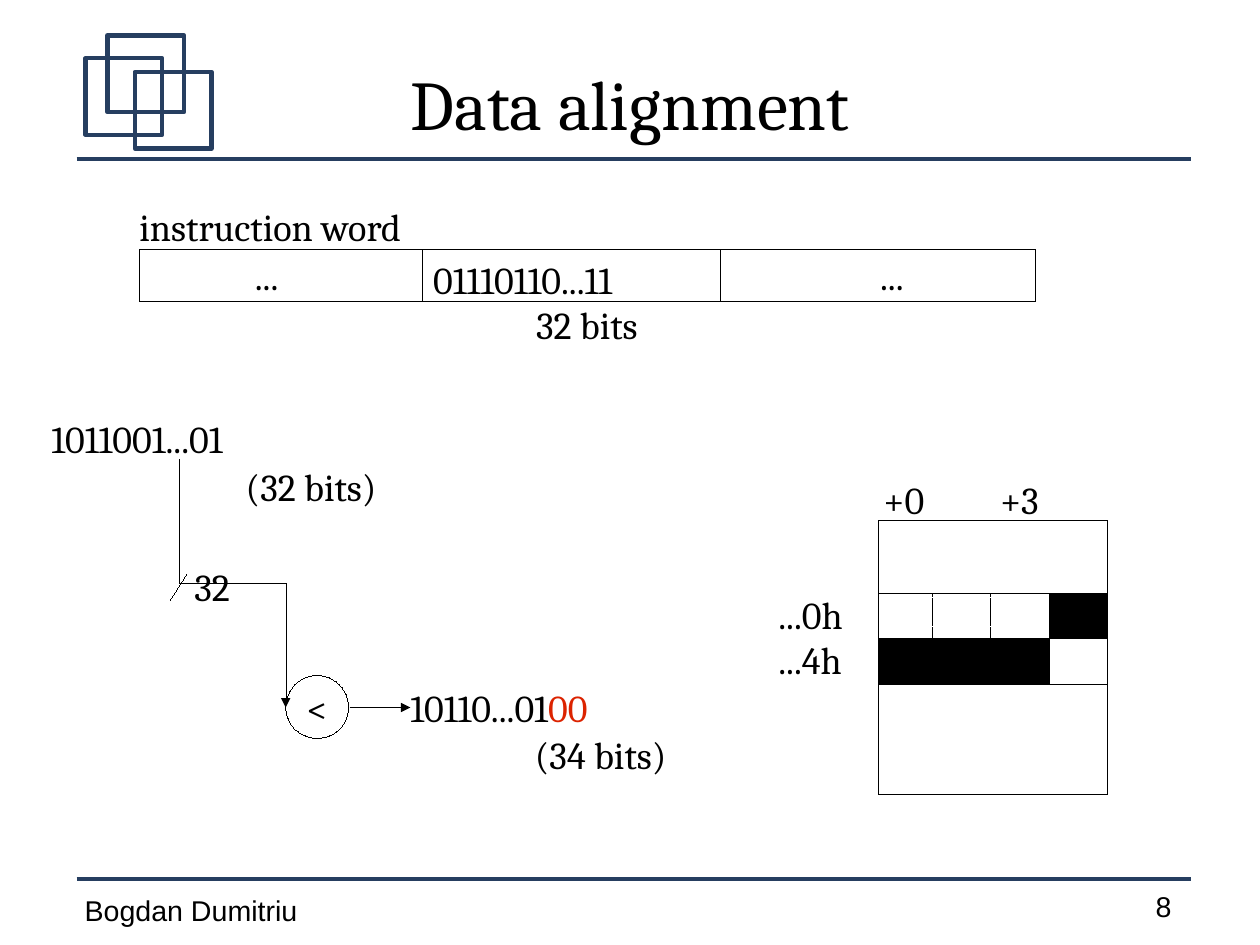
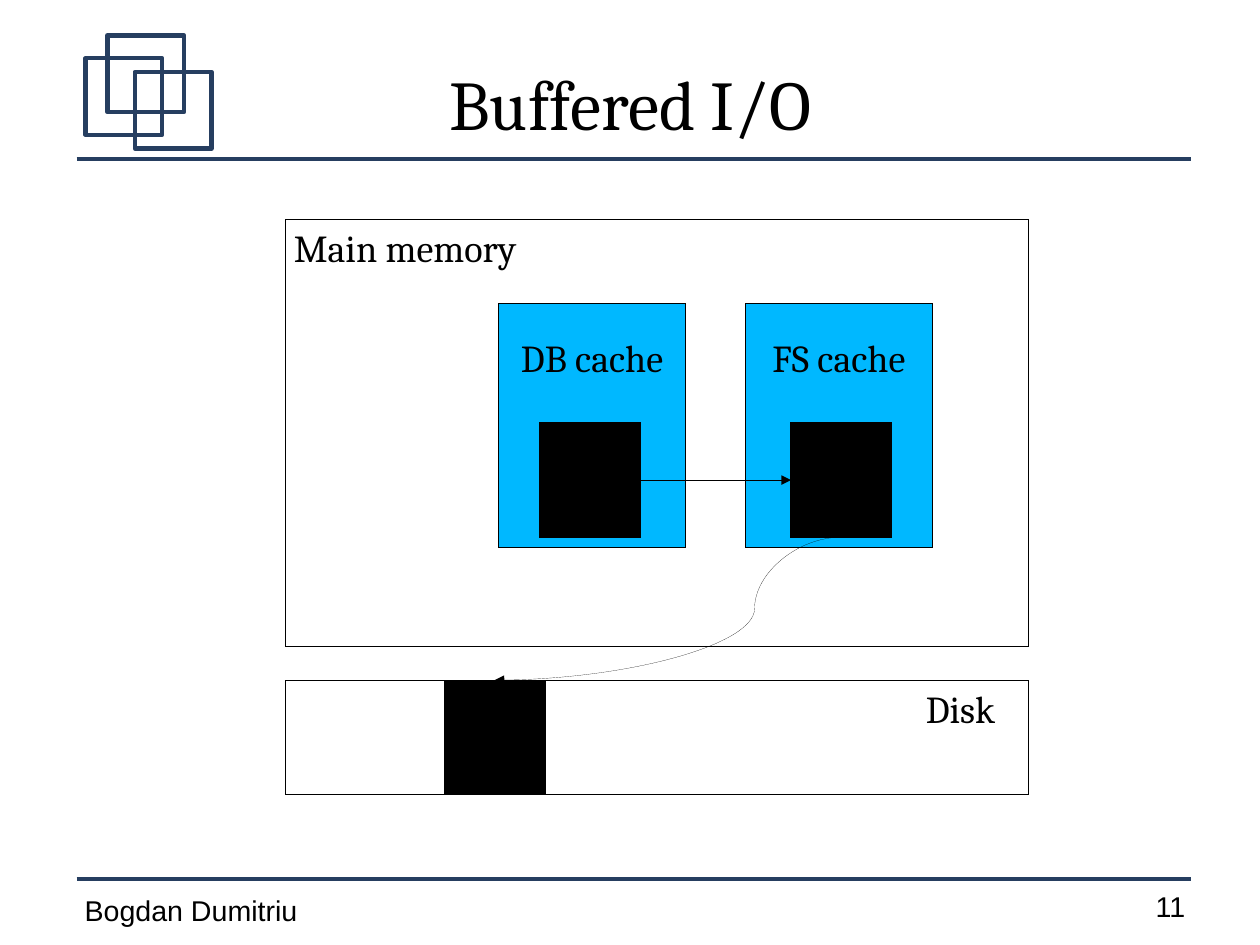
from dataclasses import dataclass
from typing import Optional

from pptx import Presentation
from pptx.dml.color import RGBColor
from pptx.enum.dml import MSO_LINE_DASH_STYLE as DASH
from pptx.enum.shapes import MSO_CONNECTOR_TYPE as CONN, MSO_SHAPE as SHAPE
from pptx.enum.text import MSO_ANCHOR as ANCHOR, PP_ALIGN as ALIGN
from pptx.oxml.ns import qn
from pptx.oxml.xmlchemy import OxmlElement
from pptx.util import Cm, Inches, Pt

GRID = 0.1
HEX = {"ink": "000000", "navy": "263E60", "cache": "00B8FF", "red": "DC2300"}
FONTS = {
    "title": {"name": "Cambria", "size": Pt(44)},
    "body": {"name": "Cambria", "size": Pt(24)},
    "footer": {"name": "Arial", "size": Pt(18)},
}
HAIR, BAND = 0, 2.83


@dataclass(frozen=True)
class Box:
    """A preset shape in grid columns and rows."""
    x: float
    y: float
    w: float
    h: float
    fill: Optional[str] = None
    text: str = ""
    pad: Optional[float] = None
    kind: SHAPE = SHAPE.RECTANGLE
    line: str = "ink"
    width: float = HAIR


@dataclass(frozen=True)
class Label:
    """A text box in grid columns and rows, with an optional red ending."""
    text: str
    x: float
    y: float
    w: float
    h: float = 3.9
    font: str = "body"
    align: ALIGN = ALIGN.LEFT
    anchor: ANCHOR = ANCHOR.TOP
    ending: str = ""
    tab: float = 0


@dataclass(frozen=True)
class Link:
    """A line or connector between two grid points."""
    x1: float
    y1: float
    x2: float
    y2: float
    kind: CONN = CONN.STRAIGHT
    arrow: bool = False
    dashed: bool = False
    downward: bool = False
    bend: Optional[float] = None
    line: str = "ink"
    width: float = HAIR


def u(n: float) -> int:
    """Turn grid units into a length."""
    return Inches(n * GRID)


def rgb(name: str) -> RGBColor:
    """Look up a named colour."""
    return RGBColor.from_string(HEX[name])


def set_all(target, values: dict) -> None:
    """Set each attribute in values on target."""
    for key, value in values.items():
        setattr(target, key, value)


def stroke(sp, color: str, width: float):
    """Colour an outline, write its width even when zero, and return its element."""
    sp.line.color.rgb = rgb(color)
    ln = sp._element.spPr.find(qn("a:ln"))
    ln.set("w", str(int(Pt(width))))
    return ln


def write(tf, text: str, font: str, align: ALIGN, anchor: ANCHOR, ending: str = "", top: float = 0) -> None:
    """Fill a text frame with one paragraph."""
    set_all(tf, {"word_wrap": True, "vertical_anchor": anchor, "margin_left": 0,
                 "margin_right": 0, "margin_top": u(top), "margin_bottom": 0})
    p = tf.paragraphs[0]
    p.alignment = align
    for part, color in ((text, "ink"), (ending, "red")):
        if part:
            r = p.add_run()
            r.text = part
            set_all(r.font, FONTS[font])
            r.font.color.rgb = rgb(color)


def draw_box(s, b: Box):
    """Draw a shape and return it."""
    sp = s.shapes.add_shape(b.kind, u(b.x), u(b.y), u(b.w), u(b.h))
    sp.shadow.inherit = False
    if b.fill:
        sp.fill.solid()
        sp.fill.fore_color.rgb = rgb(b.fill)
    else:
        sp.fill.background()
    stroke(sp, b.line, b.width)
    if b.text:
        anchor = ANCHOR.MIDDLE if b.pad is None else ANCHOR.TOP
        write(sp.text_frame, b.text, "body", ALIGN.CENTER, anchor, top=b.pad or 0)
    return sp


def draw_label(s, t: Label) -> None:
    """Draw a text box."""
    tf = s.shapes.add_textbox(u(t.x), u(t.y), u(t.w), u(t.h)).text_frame
    if t.tab:
        tabs, tab = OxmlElement("a:tabLst"), OxmlElement("a:tab")
        tab.set("pos", str(u(t.tab)))
        tab.set("algn", "l")
        tabs.append(tab)
        tf.paragraphs[0]._p.get_or_add_pPr().append(tabs)
    write(tf, t.text, t.font, t.align, t.anchor, t.ending)


def draw_link(s, k: Link):
    """Draw a connector and return it; a downward one leaves its start vertically."""
    x1, y1, x2, y2 = k.x1, k.y1, k.x2, k.y2
    if k.downward:
        mx, my, dx, dy = (x1 + x2) / 2, (y1 + y2) / 2, (x2 - x1) / 2, (y2 - y1) / 2
        x1, y1, x2, y2 = mx - dy, my - dx, mx + dy, my + dx
    c = s.shapes.add_connector(k.kind, u(x1), u(y1), u(x2), u(y2))
    sp_pr = c._element.spPr
    if k.downward:
        for key, value in {"rot": "16200000", "flipH": "1"}.items():
            sp_pr.find(qn("a:xfrm")).set(key, value)
    if k.bend is not None:
        gd = OxmlElement("a:gd")
        gd.set("name", "adj1")
        gd.set("fmla", f"val {round(k.bend * 100000)}")
        sp_pr.find(".//" + qn("a:avLst")).append(gd)
    ln = stroke(c, k.line, k.width)
    if k.dashed:
        c.line.dash_style = DASH.SQUARE_DOT
    if k.arrow:
        tail = OxmlElement("a:tailEnd")
        tail.set("type", "triangle")
        ln.append(tail)
    sp_pr.append(OxmlElement("a:effectLst"))
    return c


def draw(s, *items) -> list:
    """Draw items from back to front and return what was drawn."""
    painters = {Box: draw_box, Label: draw_label, Link: draw_link}
    return [painters[type(item)](s, item) for item in items]


def new_slide(prs, title: str, number: int):
    """Add a slide with the shared bands, squares, title and footer."""
    s = prs.slides.add_slide(prs.slide_layouts[6])
    draw(s,
         *(Link(6.7, y, 104.2, y, line="navy", width=BAND) for y in (76.9, 13.9)),
         Label("Bogdan Dumitriu", 7.4, 78.1, 27.5, 3.4, "footer"),
         Label(str(number), 101.1, 77.8, 4, 3.4, "footer"),
         *(Box(x, y, 6.7, 6.7, line="navy", width=BAND)
           for x, y in ((7.5, 5.1), (9.4, 3.1), (11.8, 6.3))),
         Label(title, 8.1, 2.1, 94.1, 13.8, "title", ALIGN.CENTER, ANCHOR.MIDDLE))
    return s


def data_alignment(prs) -> None:
    """Build the slide on instruction words and their addresses."""
    s = new_slide(prs, "Data alignment", 8)
    draw(s,
         Label("instruction word", 12.2, 17.8, 28.1),
         Box(12.2, 21.8, 78.4, 4.6),
         *(Link(x, 21.8, x, 26.4) for x in (37, 63)),
         *(Label("...", x, 22.1, 3.2) for x in (22.3, 77)),
         Label("01110110...11", 37.9, 22.4, 24.4),
         Label("32 bits", 46.9, 26.4, 11.6))
    draw(s,
         Label("1011001...01", 4.5, 36.3, 22.3),
         Label("(32 bits)", 21.5, 40.5, 14.2),
         Link(15.7, 40.2, 25, 61.9, CONN.ELBOW, arrow=True, downward=True, bend=0.5),
         Link(16.3, 50.3, 14.9, 52.5),
         Label("32", 17, 49.3, 4.2),
         Box(25, 59.1, 5.5, 5.5, text="<", kind=SHAPE.OVAL),
         Link(30.6, 61.9, 35.9, 61.9, arrow=True),
         Label("10110...01", 35.9, 59.9, 22.3, ending="00"),
         Label("(34 bits)", 46.8, 64, 14.2))
    left, top, width, row = 76.9, 51.9, 20, 4
    split = 14.9
    draw(s,
         Box(left, 45.5, width, 24),
         *(Box(left, top + i * row, width, row) for i in range(2)),
         Box(left + split, top, width - split, row, "ink"),
         Box(left, top + row, split, row, "ink"),
         *(Link(left + dx, top, left + dx, top + row, dashed=True) for dx in (4.7, 9.8)),
         Label("+0\t+3", 77.3, 41.7, 19.4, tab=10.2),
         *(Label(name, 68.1, top - 0.2 + i * row, 7.5)
           for i, name in enumerate(("...0h", "...4h"))))


def buffered_io(prs) -> None:
    """Build the slide on the path from the caches to disk."""
    s = new_slide(prs, "Buffered I/O", 11)
    draw(s,
         Box(25, 19.2, 65, 37.4),
         *(Box(x, 26.6, 16.4, 21.3, "cache", text, 2.7)
           for x, text in ((65.2, "FS cache"), (43.6, "DB cache"))),
         Label("Main memory", 25.7, 19.6, 27.1),
         Box(25, 59.5, 65, 10),
         Label("Disk", 81, 60, 8.6))
    _, db, fs = draw(s, *(Box(x, y, 8.8, 10, "ink")
                          for x, y in ((38.9, 59.5), (47.2, 37), (69.2, 37))))
    write_back, _ = draw(s,
                         Link(56, 42, 69.2, 42, arrow=True),
                         Link(73.6, 47, 43.3, 59.5, CONN.CURVE, arrow=True, bend=0.25))
    write_back.begin_connect(db, 3)
    write_back.end_connect(fs, 1)


def main() -> None:
    """Build and save the presentation."""
    prs = Presentation()
    prs.slide_width = Cm(28)
    prs.slide_height = Cm(21)
    data_alignment(prs)
    buffered_io(prs)
    prs.save("out.pptx")


if __name__ == "__main__":
    main()
